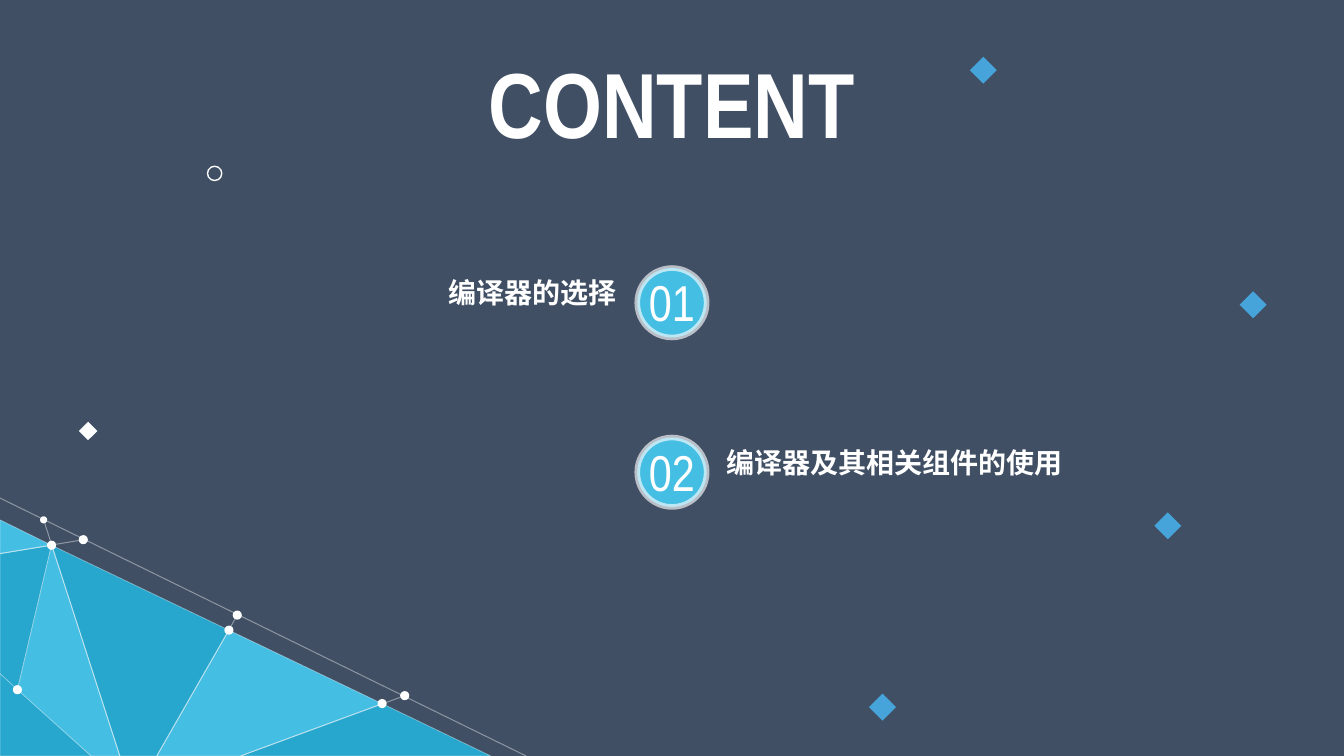
from pptx import Presentation
from pptx.dml.color import RGBColor as RGB
from pptx.enum.shapes import MSO_CONNECTOR as CXN, MSO_SHAPE as SHAPE
from pptx.enum.text import MSO_AUTO_SIZE as FIT, PP_ALIGN as AL
from pptx.oxml.ns import qn
from pptx.util import Cm, Pt
from lxml.etree import SubElement

NAVY, WHITE, SKY, TEAL, BLUE = "404F64", "FFFFFF", "45BEE3", "27A7CE", "46A4DB"
LATIN, CJK = "Arial Narrow", "Noto Sans CJK SC"
WIDTH, HEIGHT = 33.87, 19.05


def rgb(value):
    return RGB.from_string(value)


def write(tf, text, size=20, font=LATIN, color=WHITE, bold=False, align=AL.LEFT):
    p = tf.paragraphs[0]
    p.alignment = align
    r = p.add_run()
    r.text = text
    r.font.size, r.font.bold, r.font.name = Pt(size), bold, font
    r.font.color.rgb = rgb(color)
    SubElement(r.font._element, qn("a:ea"), typeface=font)


class Deck:
    """Hold the slide style and draw each kind of element on the current slide."""

    def __init__(self):
        self.prs = Presentation()
        self.prs.slide_width, self.prs.slide_height = Cm(WIDTH), Cm(HEIGHT)
        self.s = self.prs.slides.add_slide(self.prs.slide_layouts[6])
        fill = self.s.background.fill
        fill.solid()
        fill.fore_color.rgb = rgb(NAVY)

    def stroke(self, line, width, alpha=100):
        line.width = Pt(width)
        line.color.rgb = rgb(WHITE)
        clr = line._ln.find(".//" + qn("a:srgbClr"))
        SubElement(clr, qn("a:alpha"), val=str(alpha * 1000))

    def paint(self, sp, fill=None, width=0, alpha=100):
        sp.shadow.inherit = False
        if fill:
            sp.fill.solid()
            sp.fill.fore_color.rgb = rgb(fill)
        else:
            sp.fill.background()
        if width:
            self.stroke(sp.line, width, alpha)
        else:
            sp.line.fill.background()

    def facet(self, points, fill):
        pts = [(Cm(x), Cm(y)) for x, y in points]
        builder = self.s.shapes.build_freeform(*pts[0], scale=1.0)
        builder.add_line_segments(pts[1:], close=True)
        self.paint(builder.convert_to_shape(), fill, 0.5, 40)

    def line(self, start, end):
        ends = [Cm(v) for v in start + end]
        c = self.s.shapes.add_connector(CXN.STRAIGHT, *ends)
        self.stroke(c.line, 0.75, 40)
        SubElement(c._element.spPr, qn("a:effectLst"))

    def mark(self, center, size, kind=SHAPE.OVAL, turn=0, **style):
        x, y = center
        sp = self.s.shapes.add_shape(kind, Cm(x - size / 2), Cm(y - size / 2), Cm(size), Cm(size))
        sp.rotation = turn
        self.paint(sp, **style)

    def text(self, x, y, w, h, text, wrap=True, **style):
        tf = self.s.shapes.add_textbox(Cm(x), Cm(y), Cm(w), Cm(h)).text_frame
        tf.word_wrap, tf.auto_size = wrap, FIT.SHAPE_TO_FIT_TEXT
        write(tf, text, **style)


deck = Deck()

hub, ridge, slope, left = (1.3, 13.74), (5.77, 15.88), (9.63, 17.73), (0.44, 17.38)
edge, foot1, foot2, foot3, foot4 = (0, 13.95), (2.3, HEIGHT), (3.02, HEIGHT), (3.95, HEIGHT), (6.06, HEIGHT)
facets = [
    ([slope, (12.37, HEIGHT), foot4], TEAL),
    ([ridge, slope, foot4, foot3], SKY),
    ([hub, ridge, foot3, foot2], TEAL),
    ([(0, 16.97), foot1, (0, HEIGHT)], TEAL),
    ([hub, left, (0, 16.97), edge], TEAL),
    ([edge, (0, 13.1), hub], SKY),
    ([hub, left, foot1, foot2], SKY),
]
for points, fill in facets:
    deck.facet(points, fill)

tip, top, mid, low = (1.1, 13.1), (2.1, 13.6), (5.98, 15.5), (10.2, 17.53)
for start, end in [((0, 12.55), (13.26, HEIGHT)), (foot2, tip), (foot3, mid), (foot4, low), (edge, top)]:
    deck.line(start, end)
for center in [hub, left, ridge, slope, top, mid, low]:
    deck.mark(center, 0.23, fill=WHITE)
deck.mark(tip, 0.18, fill=WHITE)

deck.mark((2.22, 10.86), 0.33, SHAPE.RECTANGLE, 45, fill=WHITE)
for center in [(29.43, 13.25), (22.24, 17.82), (31.58, 7.68), (24.78, 1.77)]:
    deck.mark(center, 0.48, SHAPE.RECTANGLE, 45, fill=BLUE)
deck.mark((5.41, 4.37), 0.36, width=1)

deck.text(7.14, 1.04, 19.58, 3.07, "CONTENT", size=66, bold=True, align=AL.CENTER)
items = [
    ("编译器的选择", 11.02, 4.78, AL.RIGHT),
    ("编译器及其相关组件的使用", 18.06, 9.07, AL.LEFT),
]
for i, (label, x, w, align) in enumerate(items):
    y = 7.63 + 4.27 * i
    deck.mark((WIDTH / 2, y), 1.75, fill=SKY, width=4, alpha=64)
    deck.text(WIDTH / 2 - 1.13, y - 0.92, 2.26, 1.8, f"{i + 1:02}", size=36, align=AL.CENTER)
    deck.text(x, y - 0.8, w, 1.12, label, wrap=False, font=CJK, bold=True, align=align)

deck.prs.save("out.pptx")
